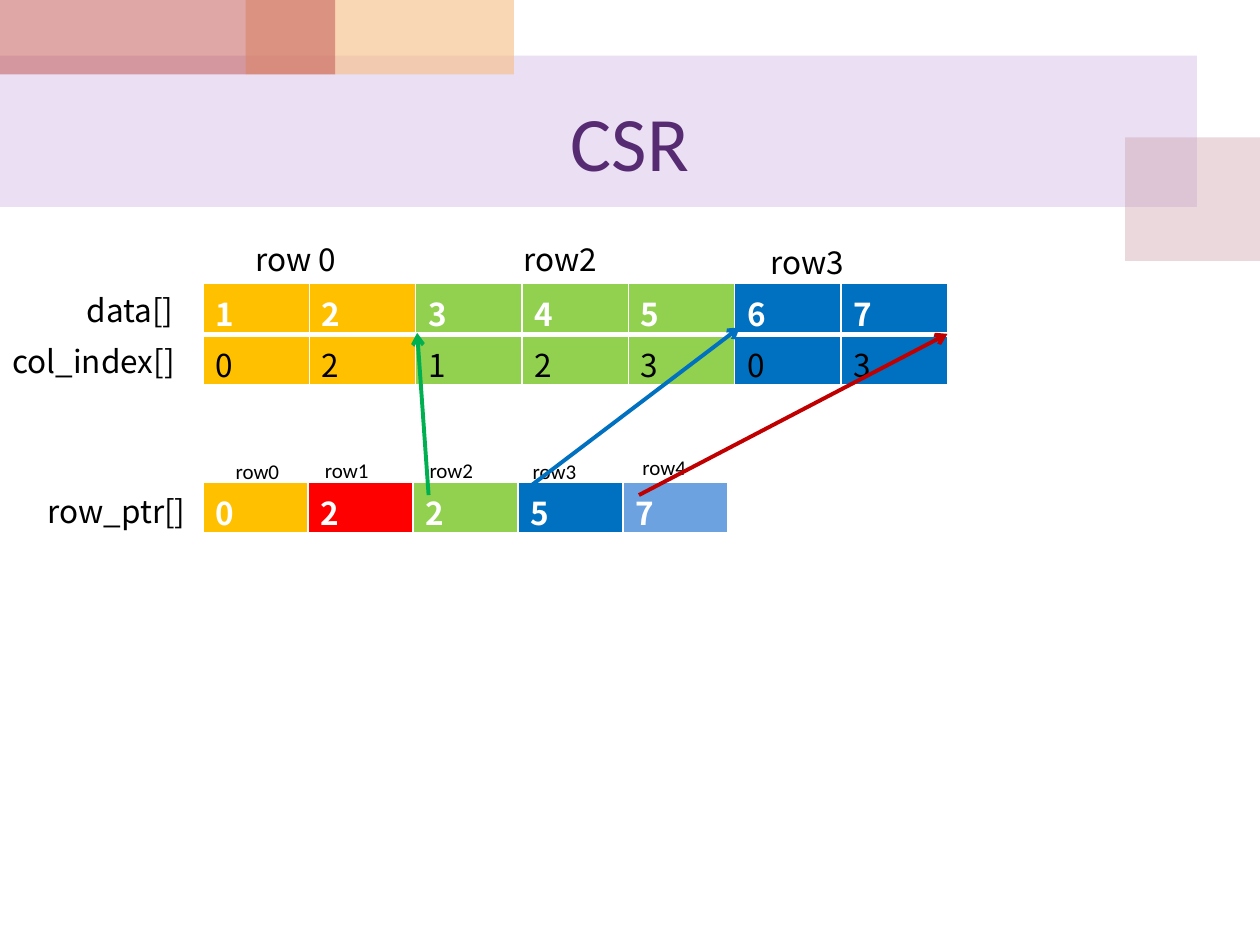
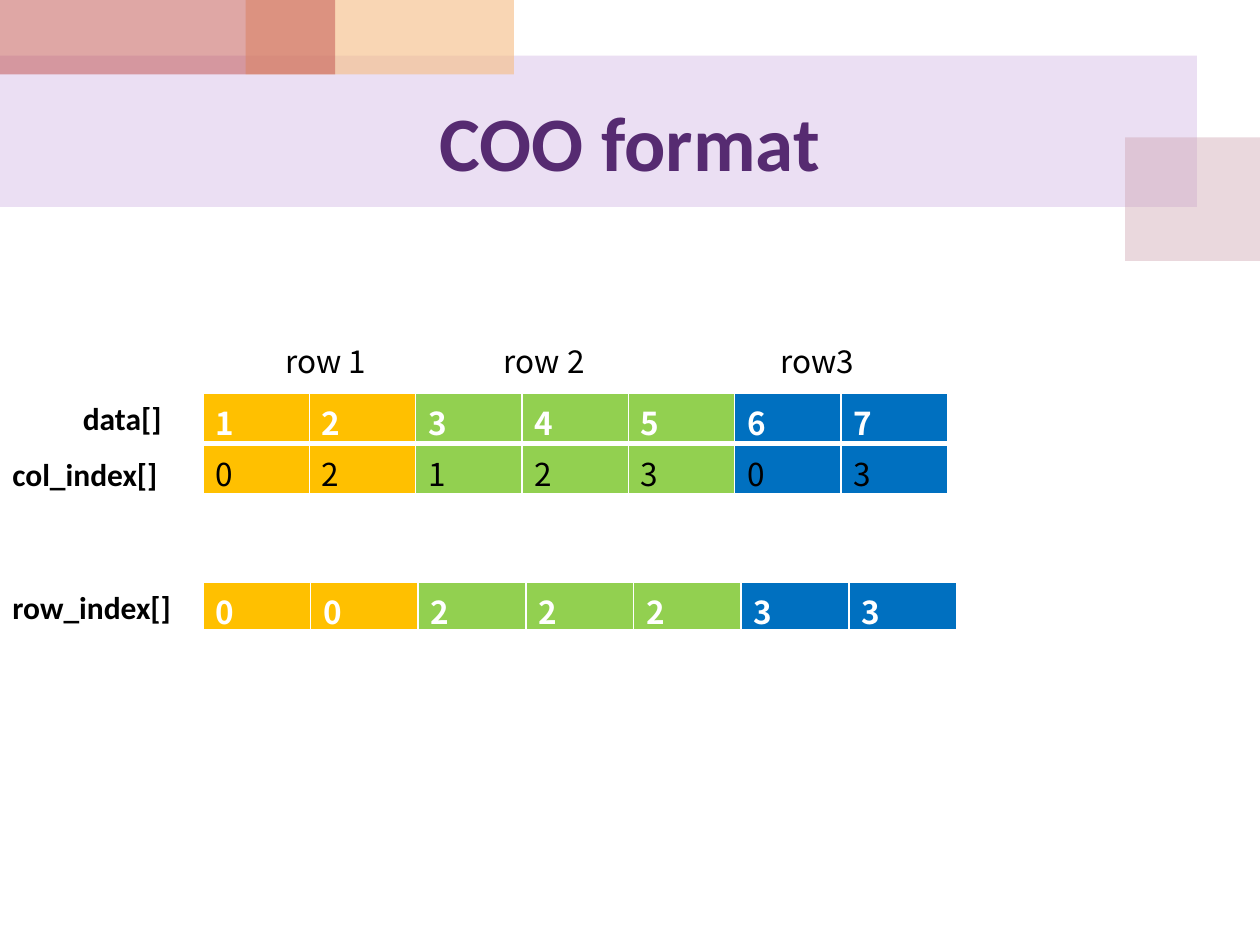
from lxml import etree
from pptx import Presentation
from pptx.dml.color import RGBColor
from pptx.enum.shapes import MSO_CONNECTOR, MSO_SHAPE
from pptx.enum.text import MSO_ANCHOR, PP_ALIGN
from pptx.oxml.ns import qn
from pptx.util import Cm, Pt

STRAIGHT = MSO_CONNECTOR.STRAIGHT
RECTANGLE = MSO_SHAPE.RECTANGLE
MIDDLE = MSO_ANCHOR.MIDDLE
CENTER = PP_ALIGN.CENTER

COLORS = {
    "band": "BF98D8", "side": "CC9EAC", "peach": "F5BC83", "brick": "C0504D",
    "title": "562B71", "text": "000000", "white": "FFFFFF",
    "row0": "FFC000", "row1": "FF0000", "row2": "92D050", "row3": "0070C0",
    "end": "6BA2DF", "green arrow": "00B050", "red arrow": "C00000",
}
HEADING_FONT = "Calibri"
BODY_FONT = "Noto Sans CJK KR"

# Colour, opacity in percent, left, top, width, height
DECORATION = [
    ("band", 30, 0, 1.12, 24.13, 3.05),
    ("side", 40, 22.68, 2.77, 2.72, 2.49),
    ("peach", 60, 4.95, 0, 5.41, 1.5),
    ("brick", 50, 0, 0, 6.76, 1.5),
]
ARRAY_LEFT = 4.09
ARRAY_WIDTH = 15.01
VALUES = [[1, 2, 3, 4, 5, 6, 7], [0, 2, 1, 2, 3, 0, 3]]
VALUE_ROWS = ["row0"] * 2 + ["row2"] * 3 + ["row3"] * 2


def rgb(name):
    return RGBColor.from_string(COLORS[name])


class Deck:
    """Holds the presentation, its style and the slide being filled."""

    def __init__(self):
        self.presentation = Presentation()
        self.presentation.slide_width = Cm(25.4)
        self.presentation.slide_height = Cm(19.05)
        self.shapes = None

    def new_slide(self, title, bold=False):
        blank = self.presentation.slide_layouts[6]
        self.shapes = self.presentation.slides.add_slide(blank).shapes
        for color, opacity, *place in DECORATION:
            self.block(color, opacity, *place)
        heading = self.label(title, 1.27, 1.5, 22.86, 2.67, 44, HEADING_FONT, bold, "title")
        heading.vertical_anchor = MIDDLE
        heading.paragraphs[0].alignment = CENTER

    def block(self, color, opacity, *place):
        """Add a translucent rectangle without outline."""
        block = self.shapes.add_shape(RECTANGLE, *map(Cm, place))
        block.shadow.inherit = False
        block.line.fill.background()
        block.fill.solid()
        block.fill.fore_color.rgb = rgb(color)
        tint = block.fill._xPr.find(qn("a:solidFill"))[0]
        etree.SubElement(tint, qn("a:alpha"), val=str(opacity * 1000))

    def label(self, text, left, top, width, height=1.02, size=18,
              font=BODY_FONT, bold=False, color="text"):
        frame = self.shapes.add_textbox(*map(Cm, (left, top, width, height))).text_frame
        frame.word_wrap = True
        frame.text = text
        self.style(frame, size, font, bold, color)
        return frame

    def style(self, frame, size, font, bold, color):
        face = frame.paragraphs[0].runs[0].font
        face.size, face.name, face.bold = Pt(size), font, bold
        face.color.rgb = rgb(color)

    def array(self, rows, fills, top, width=ARRAY_WIDTH, row_height=1.0, bottom_margin=0.13):
        """Draw rows of cells, the first in bold white, with one fill per column."""
        table = self.shapes.add_table(
            len(rows), len(fills), Cm(ARRAY_LEFT), Cm(top),
            Cm(width), Cm(row_height * len(rows))).table
        table.first_row = table.horz_banding = False
        for column in table.columns:
            column.width = Cm(width / len(fills))
        for r, values in enumerate(rows):
            first = r == 0
            for c, value in enumerate(values):
                cell = table.cell(r, c)
                cell.margin_bottom = Cm(bottom_margin)
                self.borders(cell, first)
                cell.fill.solid()
                cell.fill.fore_color.rgb = rgb(fills[c])
                cell.text_frame.text = str(value)
                self.style(cell.text_frame, 18, BODY_FONT, first, "white" if first else "text")

    def borders(self, cell, first):
        """Outline a cell in white, with a thick line under the first row."""
        widths = {"lnL": 1, "lnR": 1, "lnT": 1 if first else 3, "lnB": 3 if first else 1}
        properties = cell._tc.get_or_add_tcPr()
        for edge, width in widths.items():
            line = etree.SubElement(properties, qn(f"a:{edge}"), w=str(Pt(width)))
            fill = etree.SubElement(line, qn("a:solidFill"))
            etree.SubElement(fill, qn("a:srgbClr"), val=COLORS["white"])

    def arrow(self, color, *ends):
        arrow = self.shapes.add_connector(STRAIGHT, *map(Cm, ends))
        arrow.line.color.rgb = rgb(color)
        arrow.line.width = Pt(2.25)
        etree.SubElement(arrow.line._get_or_add_ln(), qn("a:tailEnd"), type="arrow")
        etree.SubElement(arrow._element.spPr, qn("a:effectLst"))


def csr_slide(deck):
    deck.new_slide("CSR")
    deck.array(VALUES, VALUE_ROWS, 5.72)
    deck.array([[0, 2, 2, 5, 7]], ["row0", "row1", "row2", "row3", "end"],
               9.73, width=10.59, row_height=1.04)
    for text, left, top, width in [
        ("row 0", 4.9, 4.72, 3.81), ("row2", 10.31, 4.72, 4.8), ("row3", 15.29, 4.78, 2.01),
        ("data[]", 1.5, 5.74, 2.39), ("col_index[]", 0, 6.78, 3.81), ("row_ptr[]", 0.71, 9.8, 3.81),
    ]:
        deck.label(text, left, top, width)
    pointer_places = [(4.5, 9.12), (6.3, 9.09), (8.41, 9.09), (10.49, 9.12), (12.7, 9.04)]
    for number, (left, top) in enumerate(pointer_places):
        deck.label(f"row{number}", left, top, 1.8, 0.76, 12, HEADING_FONT)
    deck.arrow("green arrow", 8.64, 9.98, 8.41, 6.71)
    deck.arrow("row3", 10.69, 9.8, 14.91, 6.6)
    deck.arrow("red arrow", 12.88, 9.98, 19.1, 6.73)


def coo_slide(deck):
    deck.new_slide("COO format", bold=True)
    deck.array(VALUES, VALUE_ROWS, 7.92)
    deck.array([[0, 0, 2, 2, 2, 3, 3]], VALUE_ROWS, 11.73, width=15.19, bottom_margin=0)
    for text, left, width in [("row 1", 5.51, 2.21), ("row 2", 9.91, 3.4), ("row3", 15.49, 2.01)]:
        deck.label(text, left, 6.78, width)
    for text, left, top, width in [
        ("data[]", 1.42, 7.92, 2.39), ("col_index[]", 0, 9.04, 4.39), ("row_index[]", 0, 11.73, 3.99),
    ]:
        deck.label(text, left, top, width, font=HEADING_FONT, bold=True)


def main():
    deck = Deck()
    csr_slide(deck)
    coo_slide(deck)
    deck.presentation.save("out.pptx")


if __name__ == "__main__":
    main()
